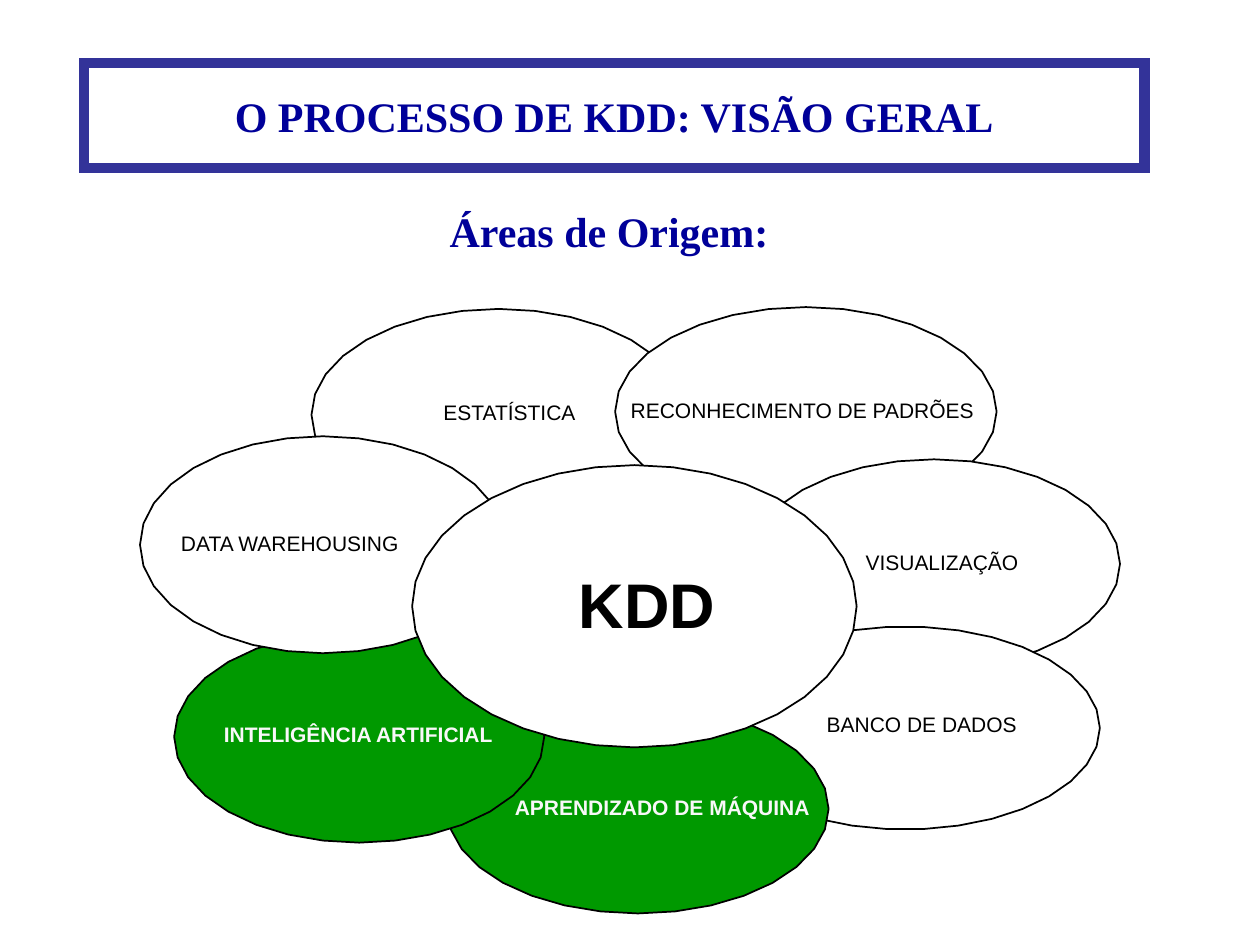
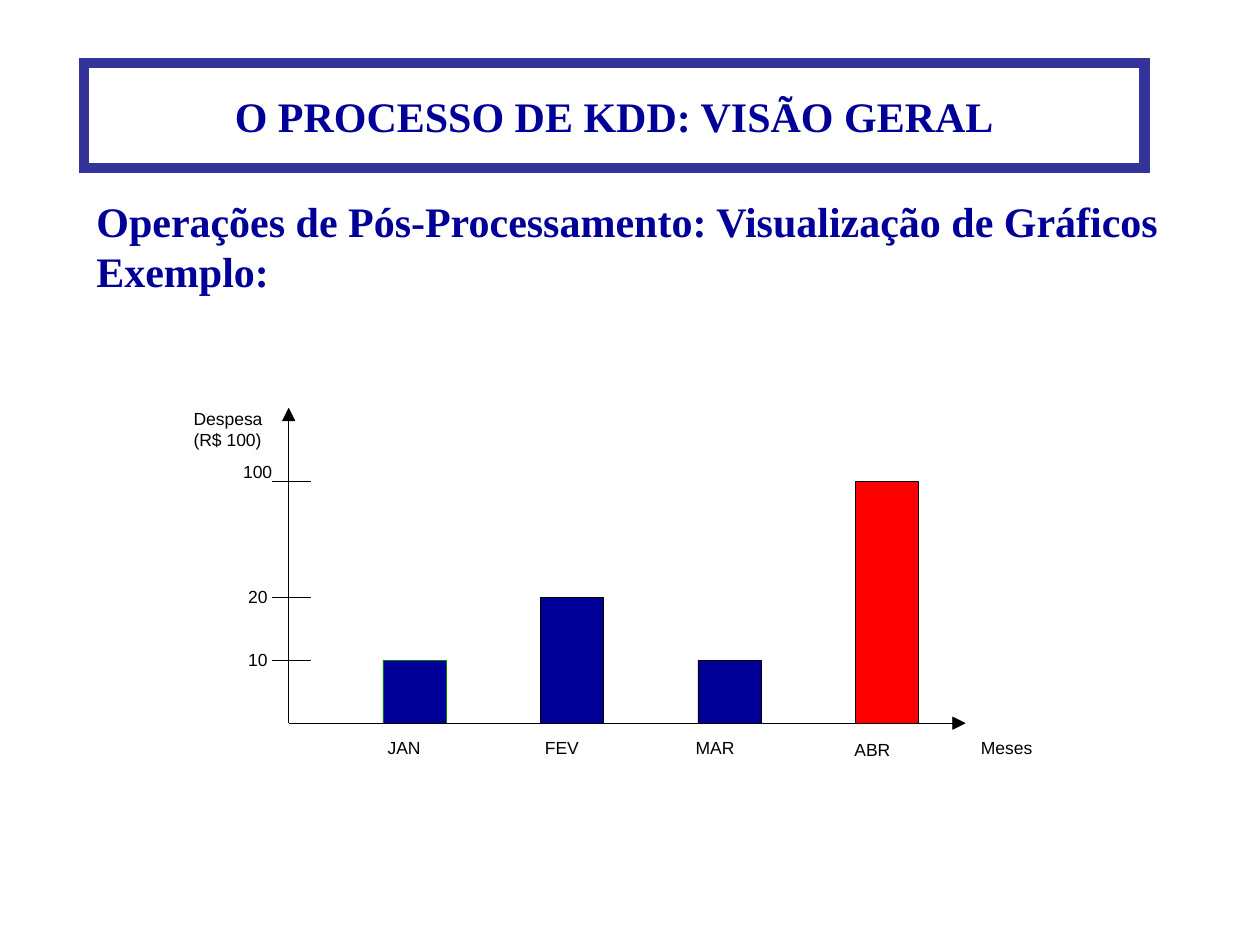
from math import cos, pi, sin

from lxml.etree import SubElement
from pptx import Presentation
from pptx.dml.color import RGBColor
from pptx.enum.shapes import MSO_CONNECTOR, MSO_SHAPE
from pptx.enum.text import MSO_ANCHOR, MSO_AUTO_SIZE, PP_ALIGN
from pptx.oxml.ns import qn
from pptx.util import Pt

NAVY = RGBColor(0x00, 0x00, 0x99)
FRAME_BLUE = RGBColor(0x33, 0x33, 0x99)
GREEN = RGBColor(0x00, 0x99, 0x00)
DARK_GREEN = RGBColor(0x00, 0x80, 0x00)
RED = RGBColor(0xFF, 0x00, 0x00)
BLACK = RGBColor(0x00, 0x00, 0x00)
WHITE = RGBColor(0xFF, 0xFF, 0xFF)
OFF_WHITE = RGBColor(0xF8, 0xF8, 0xF8)

HEADING_FONT = "Times New Roman"
LABEL_FONT = "Arial"
TITLE = "O PROCESSO DE KDD: VISÃO GERAL"
MARGIN = 48
HAIRLINE = 0.25

# Name, outline (left, top, width, height, sides), label (centre, top), fill
AREAS = [
    ("ESTATÍSTICA", (178, 176.5, 214, 121, 32), (291.2, 228.2), WHITE),
    ("RECONHECIMENTO DE PADRÕES", (351.5, 175.5, 218, 119.5, 32), (458.5, 227), WHITE),
    ("VISUALIZAÇÃO", (427.5, 262.5, 212.5, 119.5, 32), (538.3, 314), WHITE),
    ("BANCO DE DADOS", (406, 358, 222.5, 116, 34), (526.8, 406.8), WHITE),
    ("APRENDIZADO DE MÁQUINA", (255.5, 402.5, 218, 119.5, 32), (378.5, 454), GREEN),
    ("INTELIGÊNCIA ARTIFICIAL", (99.5, 360.5, 211.5, 121, 32), (204.8, 412.3), GREEN),
    ("DATA WAREHOUSING", (80, 249.3, 209, 124, 32), (165.6, 303), WHITE),
]
KDD_OUTLINE = (235.5, 265.8, 254, 161.3, 36)

ORIGIN_X, ORIGIN_Y = 165, 413.3
AXIS_TOP, AXIS_RIGHT = 240.5, 548
ARROW_LENGTH, ARROW_HALF = 7.2, 3.6
BAR_LEFT, BAR_STEP, BAR_WIDTH = 218.8, 90, 36
TICK_LEFT, TICK_RIGHT = 155.5, 178
VALUE_HEIGHTS = {10: 36, 20: 72, 100: 138.2}

# Month, value, fill, line, label centre, label top
MONTHS = [
    ("JAN", 10, NAVY, DARK_GREEN, 230.9, 421.2),
    ("FEV", 20, NAVY, BLACK, 321.1, 421.2),
    ("MAR", 10, NAVY, BLACK, 408.6, 421.2),
    ("ABR", 100, RED, BLACK, 498.5, 422.4),
]
AXIS_LABELS = [
    ("10", 147.4, 370.8),
    ("20", 147.4, 334.8),
    ("100", 147.2, 263.5),
    ("Despesa", 130.3, 233.3),
    ("(R$ 100)", 130, 245.3),
    ("Meses", 575.2, 421.2),
]


def add_span(para, text, font, size, color, bold=False):
    span = para.add_run()
    span.text = text
    span.font.name = font
    span.font.size = Pt(size)
    span.font.color.rgb = color
    span.font.bold = bold


def set_insets(frame, horizontal, vertical):
    frame.margin_left = frame.margin_right = Pt(horizontal)
    frame.margin_top = frame.margin_bottom = Pt(vertical)


def paint(shape, fill, line, width):
    shape.shadow.inherit = False
    shape.fill.solid()
    shape.fill.fore_color.rgb = fill
    shape.line.color.rgb = line
    shape.line.width = Pt(width)


def add_page(deck):
    """Add a page with the framed title."""
    page = deck.slides.add_slide(deck.slide_layouts[5])
    title = page.shapes.title
    title.left, title.top = Pt(MARGIN), Pt(36)
    title.width, title.height = Pt(606), Pt(60)
    title.line.color.rgb = FRAME_BLUE
    title.line.width = Pt(6)
    outline = title._element.spPr.find(qn("a:ln"))
    SubElement(outline, qn("a:miter"), lim="800000")
    frame = title.text_frame
    frame.auto_size = MSO_AUTO_SIZE.NONE
    frame.vertical_anchor = MSO_ANCHOR.MIDDLE
    set_insets(frame, 7.2, 3.6)
    para = frame.paragraphs[0]
    para.alignment = PP_ALIGN.CENTER
    add_span(para, TITLE, HEADING_FONT, 24, NAVY, True)
    return page


def add_subtitle(page, text, top, width, height, alignment):
    box = page.shapes.add_textbox(Pt(MARGIN), Pt(top), Pt(width), Pt(height))
    frame = box.text_frame
    frame.word_wrap = True
    set_insets(frame, 7.2, 3.6)
    para = frame.paragraphs[0]
    para.alignment = alignment
    para.space_before = Pt(15)
    add_span(para, text, HEADING_FONT, 24, NAVY, True)


def add_label(page, text, centre, top, size, color=BLACK, bold=False):
    """Add one line of text centred on a horizontal position."""
    width = size * (len(text) + 1)
    box = page.shapes.add_textbox(Pt(centre - width / 2), Pt(top), Pt(width), Pt(1.2 * size))
    frame = box.text_frame
    frame.word_wrap = False
    set_insets(frame, 0, 0)
    para = frame.paragraphs[0]
    para.alignment = PP_ALIGN.CENTER
    add_span(para, text, LABEL_FONT, size, color, bold)


def add_polygon(page, points, fill, width):
    corners = [(Pt(x), Pt(y)) for x, y in points]
    builder = page.shapes.build_freeform(*corners[0])
    builder.add_line_segments(corners[1:], close=True)
    paint(builder.convert_to_shape(), fill, BLACK, width)


def add_faceted_ellipse(page, outline, fill):
    left, top, width, height, sides = outline
    angles = [2 * pi * side / sides for side in range(sides)]
    points = [
        (left + width / 2 * (1 - cos(angle)), top + height / 2 * (1 - sin(angle)))
        for angle in angles
    ]
    add_polygon(page, points, fill, 1)


def add_line(page, x1, y1, x2, y2):
    line = page.shapes.add_connector(MSO_CONNECTOR.STRAIGHT, Pt(x1), Pt(y1), Pt(x2), Pt(y2))
    line.line.color.rgb = BLACK
    line.line.width = Pt(HAIRLINE)
    SubElement(line._element.spPr, qn("a:effectLst"))


def add_axes(page):
    add_line(page, ORIGIN_X, ORIGIN_Y, ORIGIN_X, AXIS_TOP)
    add_polygon(page, [
        (ORIGIN_X, AXIS_TOP - ARROW_LENGTH),
        (ORIGIN_X + ARROW_HALF, AXIS_TOP),
        (ORIGIN_X - ARROW_HALF, AXIS_TOP),
    ], BLACK, HAIRLINE)
    add_line(page, ORIGIN_X, ORIGIN_Y, AXIS_RIGHT, ORIGIN_Y)
    arrow_base = AXIS_RIGHT - ARROW_HALF
    add_polygon(page, [
        (arrow_base + ARROW_LENGTH, ORIGIN_Y),
        (arrow_base, ORIGIN_Y + ARROW_HALF),
        (arrow_base, ORIGIN_Y - ARROW_HALF),
    ], BLACK, HAIRLINE)
    for height in VALUE_HEIGHTS.values():
        add_line(page, TICK_LEFT, ORIGIN_Y - height, TICK_RIGHT, ORIGIN_Y - height)


def add_bar(page, index, value, fill, line):
    height = VALUE_HEIGHTS[value]
    bar = page.shapes.add_shape(
        MSO_SHAPE.RECTANGLE, Pt(BAR_LEFT + index * BAR_STEP), Pt(ORIGIN_Y - height),
        Pt(BAR_WIDTH), Pt(height))
    paint(bar, fill, line, HAIRLINE)


def add_origin_areas_page(deck):
    page = add_page(deck)
    for name, outline, (centre, top), fill in AREAS:
        highlighted = fill == GREEN
        add_faceted_ellipse(page, outline, fill)
        add_label(page, name, centre, top, 12, OFF_WHITE if highlighted else BLACK, highlighted)
    add_faceted_ellipse(page, KDD_OUTLINE, WHITE)
    add_label(page, "KDD", 369.7, 323.3, 36, bold=True)
    add_subtitle(page, "Áreas de Origem:", 114, 600, 36, PP_ALIGN.CENTER)


def add_expenses_page(deck):
    page = add_page(deck)
    add_subtitle(page, "Operações de Pós-Processamento: Visualização de Gráficos Exemplo:",
                 108, 652.5, 65, PP_ALIGN.LEFT)
    for index, (month, value, fill, line, centre, top) in enumerate(MONTHS):
        add_bar(page, index, value, fill, line)
        add_label(page, month, centre, top, 10)
    add_axes(page)
    for text, centre, top in AXIS_LABELS:
        add_label(page, text, centre, top, 10)


def main():
    deck = Presentation()
    deck.slide_width, deck.slide_height = Pt(720), Pt(540)
    add_origin_areas_page(deck)
    add_expenses_page(deck)
    deck.save("out.pptx")


if __name__ == "__main__":
    main()
